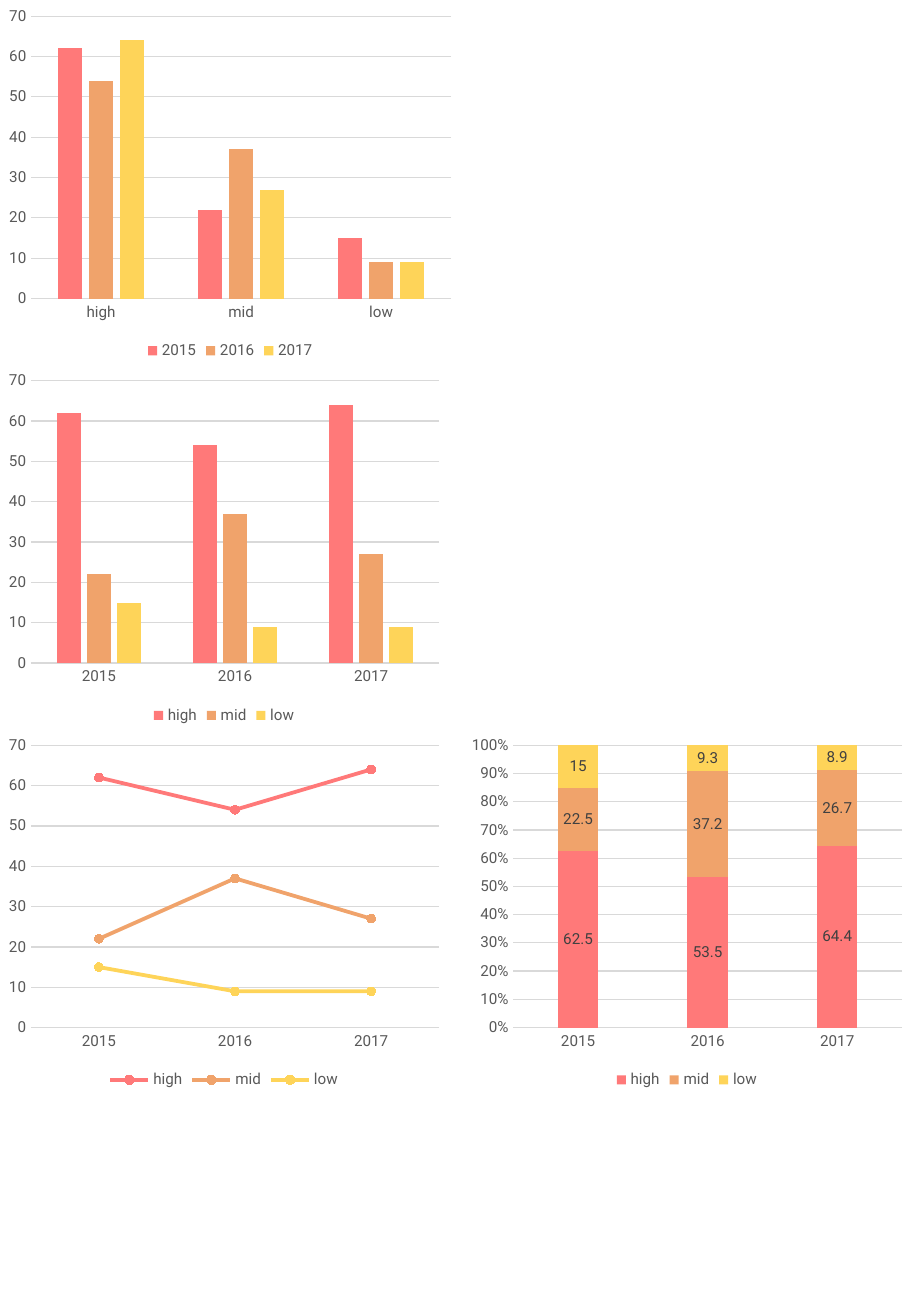
from collections import namedtuple

from pptx import Presentation
from pptx import util as u
from pptx.chart.data import CategoryChartData
from pptx.dml.color import RGBColor
from pptx.enum import chart as c

theme = {
    "font": "Roboto",
    "base_size": 10,
    "text_size": 9,
    "base": "000000",
    "text": "595959",
    "label": "404040",
    "grid": "D9D9D9",
    "series": ["FF7979", "F0A36B", "FED459"],
    "grid_width": 0.75,
    "line_width": 2.25,
    "marker_size": 5,
}


def style_text(text, color="text", size="text_size"):
    text.font.name = theme["font"]
    text.font.size = u.Pt(theme[size])
    text.font.bold = False
    text.font.color.rgb = RGBColor.from_string(theme[color])


def style_line(line, color, width):
    line.color.rgb = RGBColor.from_string(color)
    line.width = u.Pt(width)


presentation = Presentation()
presentation.slide_width = u.Inches(7.5)
presentation.slide_height = u.Inches(10.83)
slide = presentation.slides.add_slide(presentation.slide_layouts[6])

row_height = u.Inches(3)
wide = u.Inches(3.79)
narrow = u.Inches(3.69)
right_column = presentation.slide_width - narrow

levels = ["high", "mid", "low"]
years = ["2015", "2016", "2017"]
shares_by_level = [[62.5, 53.5, 64.4], [22.5, 37.2, 26.7], [15, 9.3, 8.9]]
rounded_by_level = [[round(share) for share in shares] for shares in shares_by_level]
rounded_by_year = list(zip(*rounded_by_level))

Panel = namedtuple("Panel", "kind left row width categories names values")
kinds = c.XL_CHART_TYPE
panels = [
    Panel(kinds.COLUMN_CLUSTERED, 0, 0, wide, levels, years, rounded_by_year),
    Panel(kinds.COLUMN_CLUSTERED, 0, 1, narrow, years, levels, rounded_by_level),
    Panel(kinds.LINE_MARKERS, 0, 2, narrow, years, levels, rounded_by_level),
    Panel(kinds.COLUMN_STACKED_100, right_column, 2, narrow, years, levels, shares_by_level),
]

for panel in panels:
    is_line = panel.kind == kinds.LINE_MARKERS
    is_stacked = panel.kind == kinds.COLUMN_STACKED_100

    chart_data = CategoryChartData()
    chart_data.categories = panel.categories
    for name, values in zip(panel.names, panel.values):
        chart_data.add_series(name, values)
    chart = slide.shapes.add_chart(
        panel.kind, panel.left, panel.row * row_height, panel.width, row_height, chart_data
    ).chart

    style_text(chart, color="base", size="base_size")
    chart.has_title = False
    chart.has_legend = True
    chart.legend.position = c.XL_LEGEND_POSITION.BOTTOM
    chart.legend.include_in_layout = False
    style_text(chart.legend)

    for axis in (chart.category_axis, chart.value_axis):
        axis.major_tick_mark = c.XL_TICK_MARK.NONE
        axis.minor_tick_mark = c.XL_TICK_MARK.NONE
        style_text(axis.tick_labels)
    style_line(chart.category_axis.format.line, theme["grid"], theme["grid_width"])
    chart.value_axis.format.line.fill.background()
    chart.value_axis.has_major_gridlines = True
    style_line(chart.value_axis.major_gridlines.format.line, theme["grid"], theme["grid_width"])
    chart.value_axis.tick_labels.number_format = "0%" if is_stacked else "General"
    chart.value_axis.tick_labels.number_format_is_linked = False
    if not is_stacked:
        chart.value_axis.minimum_scale = 0
        chart.value_axis.maximum_scale = 70
        chart.value_axis.major_unit = 10

    plot = chart.plots[0]
    plot.vary_by_categories = False
    if not is_line:
        plot.gap_width = 219
        plot.overlap = 100 if is_stacked else -27
    if is_stacked:
        plot.has_data_labels = True
        plot.data_labels.show_value = True
        plot.data_labels.position = c.XL_LABEL_POSITION.CENTER
        style_text(plot.data_labels, color="label")

    for series, color in zip(plot.series, theme["series"]):
        if is_line:
            series.smooth = False
            style_line(series.format.line, color, theme["line_width"])
            series.marker.style = c.XL_MARKER_STYLE.CIRCLE
            series.marker.size = theme["marker_size"]
            style_line(series.marker.format.line, color, theme["grid_width"])
            filled = series.marker.format
        else:
            series.invert_if_negative = False
            filled = series.format
        filled.fill.solid()
        filled.fill.fore_color.rgb = RGBColor.from_string(color)

presentation.save("out.pptx")
